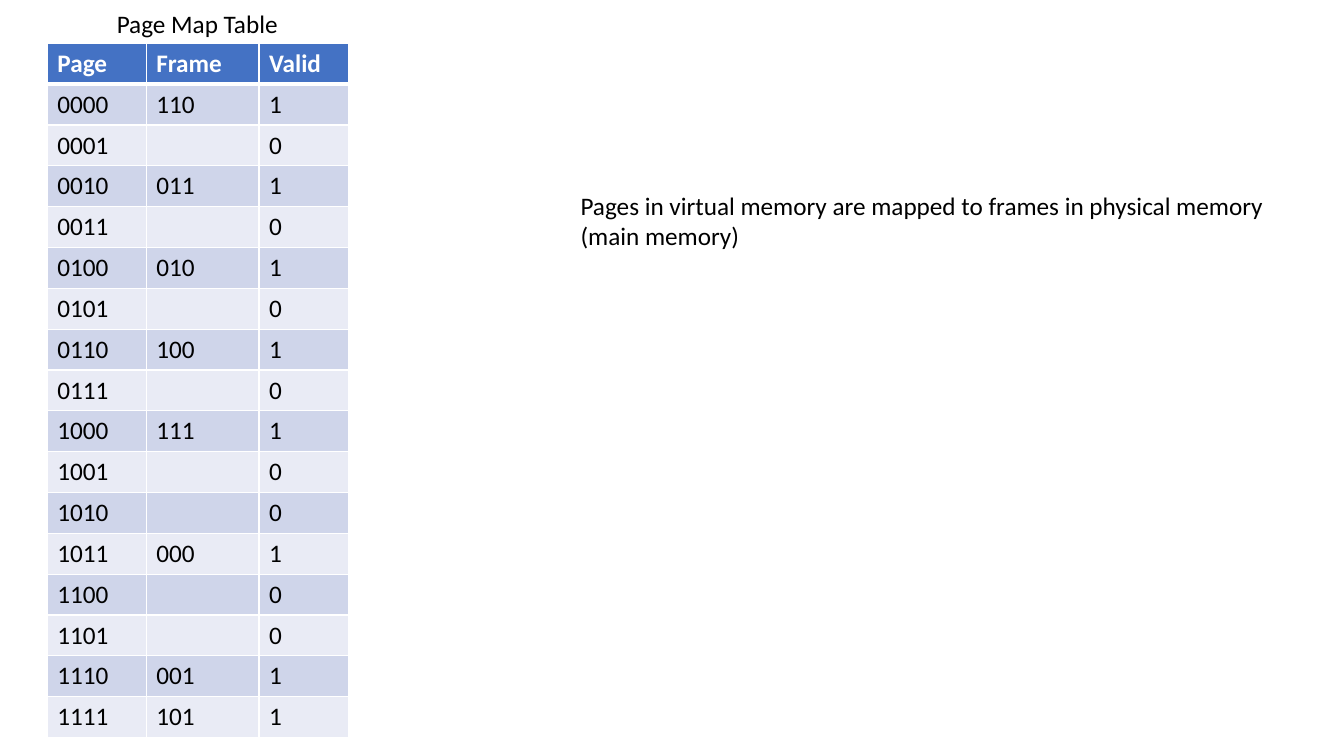
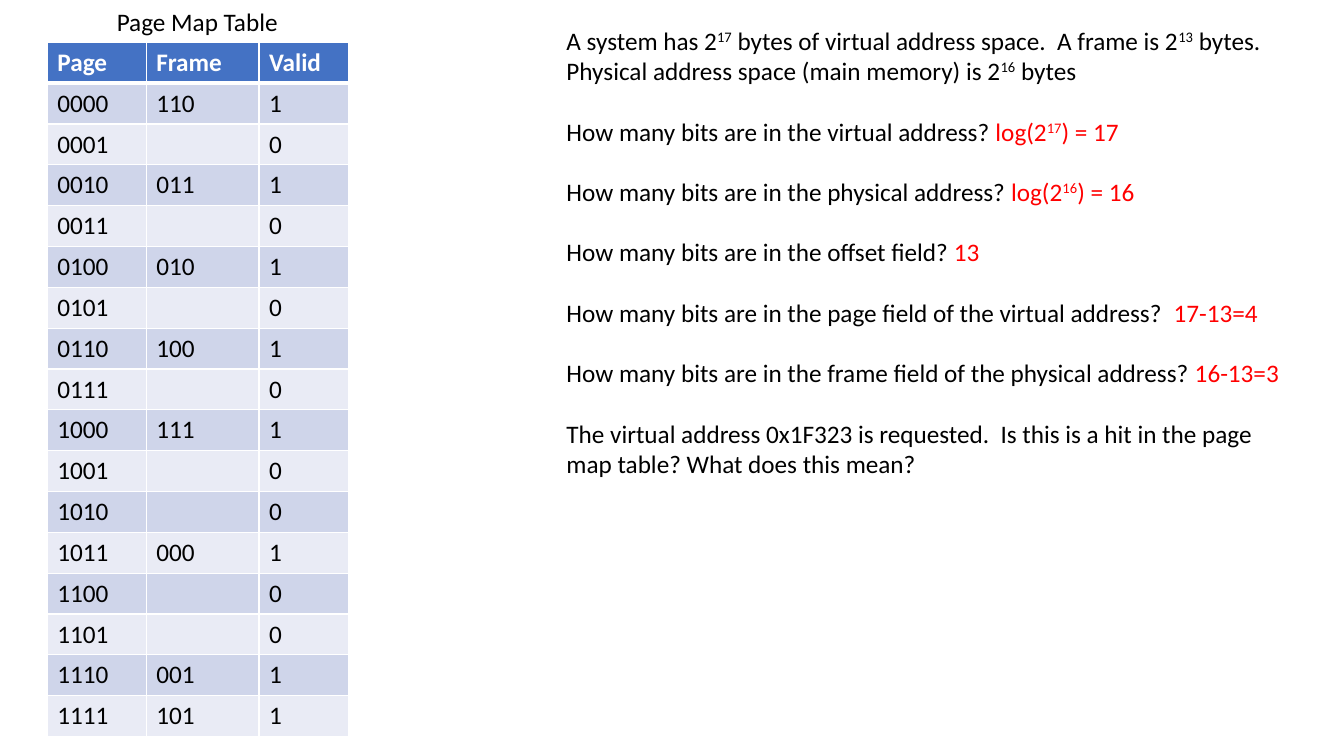
"""Build two slides on mapping virtual memory pages to physical frames."""
from lxml.etree import SubElement
from pptx import Presentation
from pptx.dml.color import RGBColor
from pptx.enum.text import MSO_AUTO_SIZE
from pptx.oxml.ns import qn
from pptx.util import Inches, Pt

FONT = "Calibri"
SIZE = Pt(18)
PARA_GAP = Pt(21.6)
BLACK = RGBColor(0x00, 0x00, 0x00)
WHITE = RGBColor(0xFF, 0xFF, 0xFF)
RED = RGBColor(0xFF, 0x00, 0x00)
BLUE = RGBColor(0x44, 0x72, 0xC4)
BAND_DARK = RGBColor(0xCF, 0xD5, 0xEA)
BAND_LIGHT = RGBColor(0xE9, 0xEB, 0xF5)

COL_WIDTHS = [0.98, 1.12, 0.89]
HEADERS = ["Page", "Frame", "Valid"]
FRAMES = ["110", "", "011", "", "010", "", "100", "",
          "111", "", "", "000", "", "", "001", "101"]
ROWS = [HEADERS] + [[f"{page:04b}", frame, "1" if frame else "0"]
                    for page, frame in enumerate(FRAMES)]

MAPPING = [[("Pages in virtual memory are mapped to frames in physical memory (main memory)", BLACK, False)]]
QUESTIONS = [
    [("A system has 2", BLACK, False), ("17", BLACK, True),
     (" bytes of virtual address space.  A frame is 2", BLACK, False), ("13", BLACK, True),
     (" bytes.  Physical address space (main memory) is 2", BLACK, False), ("16", BLACK, True),
     (" bytes", BLACK, False)],
    [("How many bits are in the virtual address? ", BLACK, False),
     ("log(2", RED, False), ("17", RED, True), (") = 17", RED, False)],
    [("How many bits are in the physical address? ", BLACK, False),
     ("log(2", RED, False), ("16", RED, True), (") = 16", RED, False)],
    [("How many bits are in the offset field? ", BLACK, False), ("13", RED, False)],
    [("How many bits are in the page field of the virtual address?  ", BLACK, False),
     ("17-13=4", RED, False)],
    [("How many bits are in the frame field of the physical address? ", BLACK, False),
     ("16-13=3", RED, False)],
    [("The virtual address 0x1F323 is requested.  Is this is a hit in the page map table? "
      "What does this mean?", BLACK, False)],
]
SLIDES = [
    (0.03, 0.43, (5.66, 1.84, 7.2, 0.71), MAPPING),
    (0.01, 0.42, (5.52, 0.2, 7.5, 5.86), QUESTIONS),
]


def add_run(p, text, color, bold=False, superscript=False):
    r = p.add_run()
    r.text = text
    r.font.name = FONT
    r.font.size = SIZE
    r.font.bold = bold
    r.font.color.rgb = color
    if superscript:
        r.font._element.set("baseline", "30000")


def add_text(s, box, paragraphs, wrap):
    tf = s.shapes.add_textbox(*[Inches(v) for v in box]).text_frame
    tf.word_wrap = wrap
    tf.auto_size = MSO_AUTO_SIZE.SHAPE_TO_FIT_TEXT
    for i, runs in enumerate(paragraphs):
        p = tf.add_paragraph() if i else tf.paragraphs[0]
        if i:
            p.space_before = PARA_GAP
        for text, color, superscript in runs:
            add_run(p, text, color, superscript=superscript)


prs = Presentation()
prs.slide_width = Inches(13.33)
prs.slide_height = Inches(7.5)

for caption_top, table_top, body_box, body in SLIDES:
    s = prs.slides.add_slide(prs.slide_layouts[6])
    add_text(s, (1.06, caption_top, 1.82, 0.4), [[("Page Map Table", BLACK, False)]], False)
    add_text(s, body_box, body, True)

    table = s.shapes.add_table(len(ROWS), len(HEADERS), Inches(0.47), Inches(table_top),
                               Inches(sum(COL_WIDTHS)), Inches(6.89)).table
    for col, width in zip(table.columns, COL_WIDTHS):
        col.width = Inches(width)
    for i, row in enumerate(ROWS):
        header = i == 0
        band = BAND_DARK if i % 2 else BAND_LIGHT
        for j, text in enumerate(row):
            cell = table.cell(i, j)
            tcPr = cell._tc.get_or_add_tcPr()
            for side in ("lnL", "lnR", "lnT", "lnB"):
                thick = (header and side == "lnB") or (i == 1 and side == "lnT")
                ln = SubElement(tcPr, qn(f"a:{side}"), w=str(Pt(3 if thick else 1)))
                fill = SubElement(ln, qn("a:solidFill"))
                SubElement(fill, qn("a:srgbClr"), val=str(WHITE))
            cell.fill.solid()
            cell.fill.fore_color.rgb = BLUE if header else band
            if text:
                add_run(cell.text_frame.paragraphs[0], text, WHITE if header else BLACK, bold=header)

prs.save("out.pptx")
